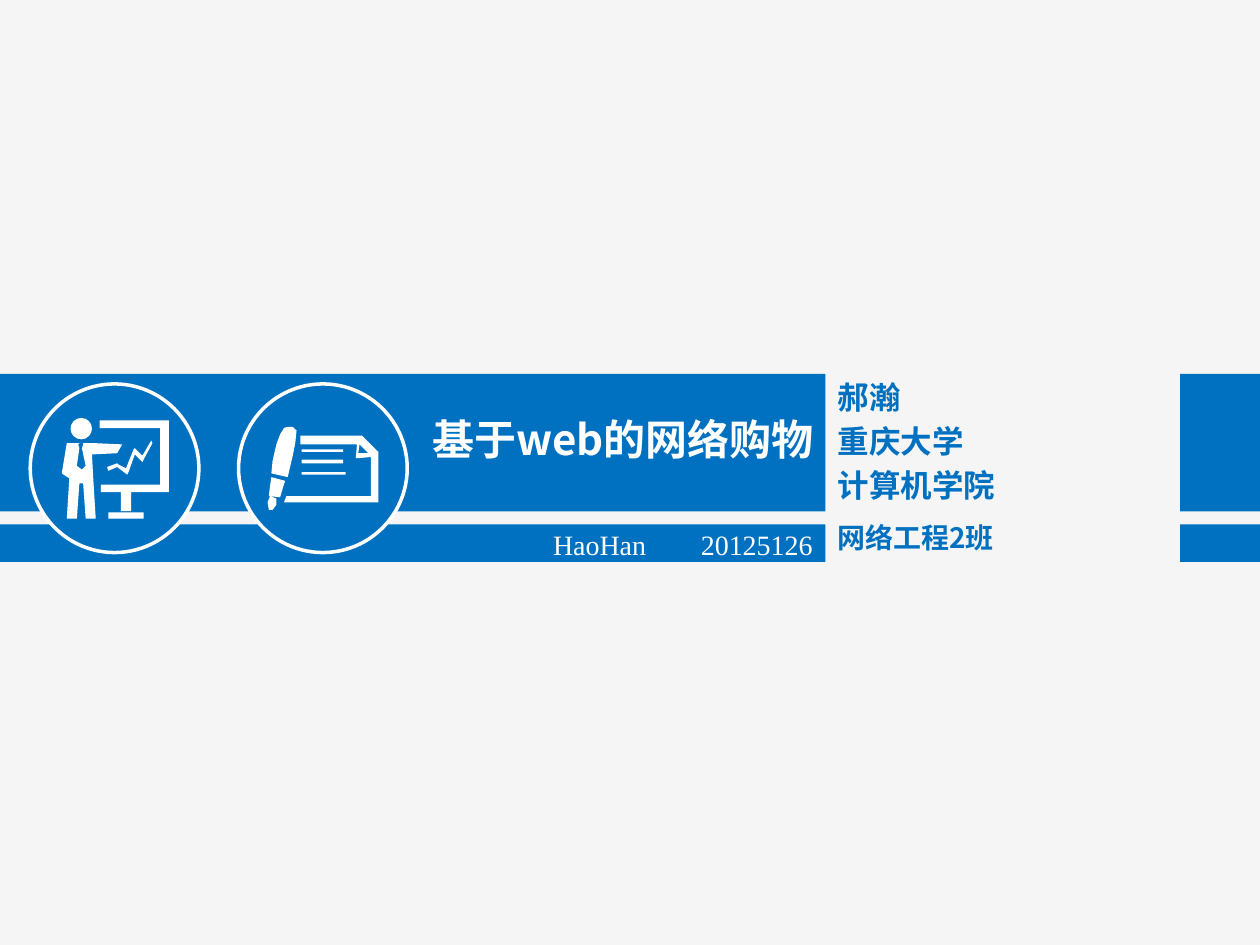
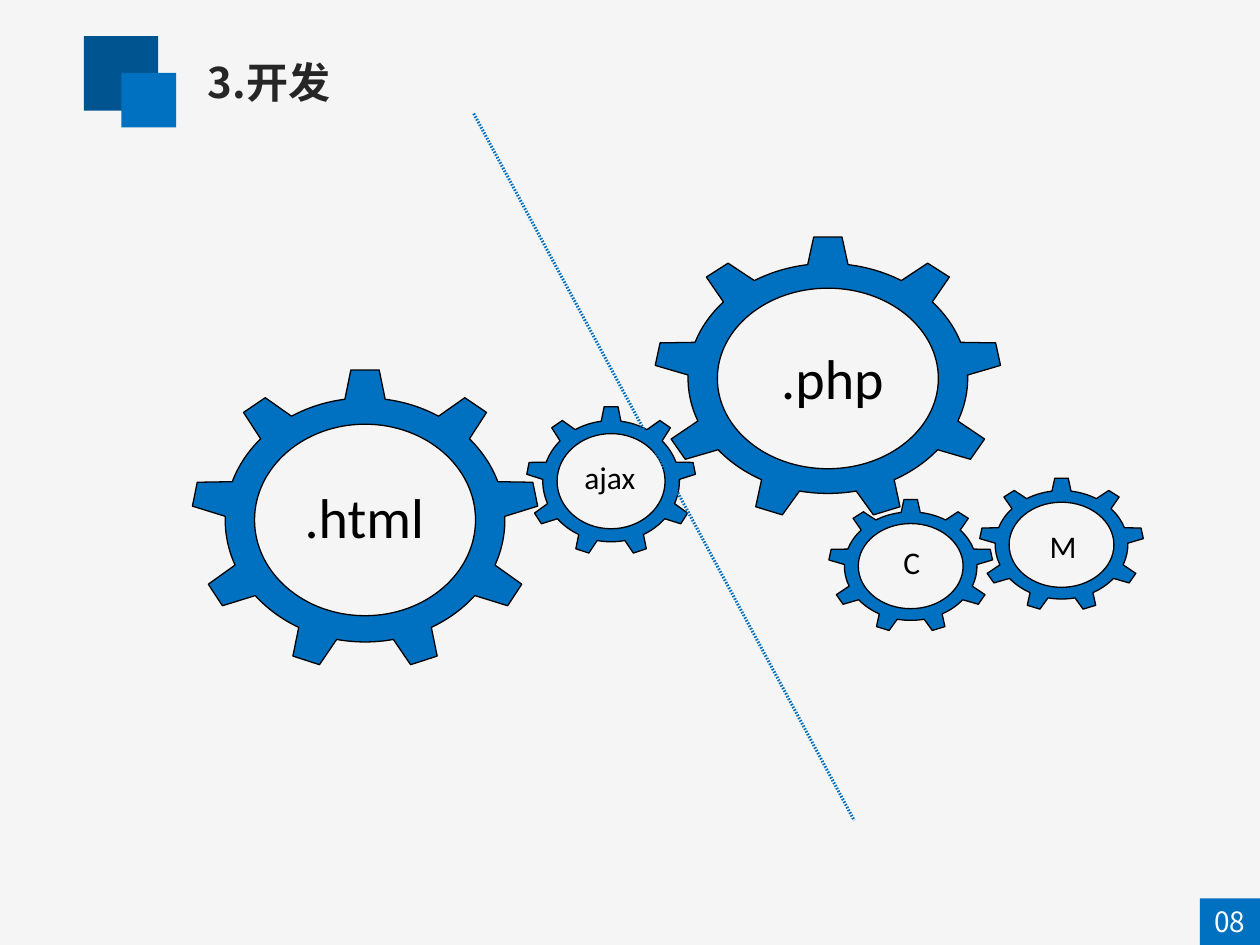
from dataclasses import dataclass
from math import cos, radians, sin, tan

from lxml import etree
from pptx import Presentation
from pptx.dml.color import RGBColor
from pptx.enum.shapes import MSO_CONNECTOR, MSO_SHAPE
from pptx.enum.text import PP_ALIGN
from pptx.oxml.ns import qn
from pptx.shapes.autoshape import Shape
from pptx.slide import Slide
from pptx.util import Cm, Pt

BLUE = RGBColor(0x00, 0x70, 0xC0)
DARK_BLUE = RGBColor(0x00, 0x54, 0x90)
PAPER = RGBColor(0xF5, 0xF5, 0xF5)
WHITE = RGBColor(0xFF, 0xFF, 0xFF)
BLACK = RGBColor(0x00, 0x00, 0x00)
CHARCOAL = RGBColor(0x26, 0x26, 0x26)

CJK_FONT = "Noto Sans CJK SC"
SERIF_FONT = "Times New Roman"
LABEL_FONT = "Calibri"

RECTANGLE = MSO_SHAPE.RECTANGLE
OVAL = MSO_SHAPE.OVAL
STRAIGHT = MSO_CONNECTOR.STRAIGHT
LEFT, CENTER, RIGHT = PP_ALIGN.LEFT, PP_ALIGN.CENTER, PP_ALIGN.RIGHT

Point = tuple[float, float]
Segment = tuple[Point, ...]  # one point for a line, three for a Bézier curve
Contour = list[Segment]

SLIDE_WIDTH, SLIDE_HEIGHT = 25.4, 19.05
BLANK_LAYOUT = 6


@dataclass(frozen=True)
class Box:
    """A frame in centimetres."""
    left: float
    top: float
    width: float
    height: float


@dataclass(frozen=True)
class TextStyle:
    size: float
    color: RGBColor
    font: str = CJK_FONT
    bold: bool = False
    align: PP_ALIGN = LEFT
    line_spacing: float = 1.0
    wrap: bool = True
    inset: float = 0.25
    tab_stop: float | None = None


@dataclass(frozen=True)
class Gear:
    box: Box
    label: str
    label_box: Box
    label_style: TextStyle


SLIDE_TITLE = TextStyle(24, CHARCOAL, bold=True)
PAGE_NUMBER = TextStyle(16, WHITE, align=CENTER)
COVER_TITLE = TextStyle(24, WHITE, bold=True, align=RIGHT, line_spacing=1.25)
COVER_SUBTITLE = TextStyle(16, WHITE, SERIF_FONT, line_spacing=1.25, inset=2.13, tab_stop=2.98)
AUTHOR = TextStyle(18, BLUE, bold=True)
CLASS_NAME = TextStyle(16, BLUE, bold=True)
LARGE_LABEL = TextStyle(32, BLACK, LABEL_FONT)
SMALL_LABEL = TextStyle(18, BLACK, LABEL_FONT, wrap=False)

# Cover: two bands on either side of the author column
AUTHOR_LEFT, AUTHOR_RIGHT = 16.64, 23.79
BANDS = [(7.54, 2.77), (10.57, 0.76)]
AUTHOR_LINES = [
    ("郝瀚", 7.49, AUTHOR),
    ("重庆大学", 8.38, AUTHOR),
    ("计算机学院", 9.27, AUTHOR),
    ("网络工程2班", 10.36, CLASS_NAME),
]
ICON_TOP, ICON_SIZE = 7.74, 3.4
PRESENTER_LEFT, WRITER_LEFT = 0.61, 4.81

# Icon outlines, in hundredths of an inch from the corner of the icon's circle
ICON_UNIT = 0.0254
HEAD_CENTER, HEAD_RADIUS = (40.5, 35.5), 8.5
PRESENTER_ICON: list[list[Point]] = [
    [(61, 66), (69, 63), (70, 64), (76, 67), (82, 52), (83, 51), (89, 57), (96, 45),
     (97, 47), (90, 60), (89, 62), (83, 56), (78, 70), (77, 72), (69, 66), (62, 69)],
    [(62, 102), (90, 102), (90, 107), (62, 107)],
    [(80, 86), (110, 86), (110, 29), (55, 29), (55, 35), (103, 35), (103, 80), (56, 80),
     (56, 86), (72, 86), (72, 101), (80, 101)],
    [(25, 71), (31, 75), (29, 107), (37, 107), (39, 79), (42, 79), (44, 107), (52, 107),
     (50, 75), (49, 56), (69, 55), (73, 48), (51, 47), (42, 47), (42, 48), (41, 51),
     (44, 65), (41, 68), (37, 65), (39, 51), (38, 48), (39, 47), (29, 47)],
]
WRITER_ICON: list[list[Point]] = [
    [(36, 35), (39, 34), (43, 34), (46, 37), (45, 47), (43, 57), (39, 74), (26, 71),
     (27, 61), (30, 48), (33, 40)],
    [(38, 89), (36, 94), (111, 94), (111, 54), (110, 53), (99, 42), (98, 41), (49, 41),
     (49, 48), (94, 48), (93, 59), (95, 59), (105, 58), (105, 89)],
    [(103, 55), (95, 55), (96, 48)],
    [(50, 70), (85, 70), (85, 72), (50, 72)],
    [(50, 60), (83, 60), (83, 63), (50, 63)],
    [(50, 52), (83, 52), (83, 54), (50, 54)],
    [(25, 89), (30, 91), (30, 96), (27, 100), (24, 100), (23, 94)],
    [(26, 74), (37, 77), (35, 83), (33, 90), (24, 89), (25, 81)],
]

# Gear proportions, in percent of its width and height
TOOTH_COUNT = 9
TOOTH_STEP = 360 / TOOTH_COUNT
TOOTH_HALF_ANGLE = 8.3
GEAR_CENTER = (50, 50.9)
BODY_RADII = (40.5, 41.4)
HOLE_RADII = (32, 32.5)
RIGHT_TIPS: list[Point] = [
    (4.1, -50.9), (28.9, -41.5), (35.2, -36.5), (48.6, -12.8), (50, -4.7),
    (45.4, 21.8), (41.3, 29.1), (20.9, 46.2), (13.2, 49.1),
]
GEARS = [
    Gear(Box(10.62, 8.2, 3.4, 2.95), "ajax", Box(11.53, 9.1, 1.56, 1.02), SMALL_LABEL),
    Gear(Box(3.88, 7.46, 6.96, 5.94), ".html", Box(5.89, 9.6, 4.24, 1.63), LARGE_LABEL),
    Gear(Box(13.21, 4.78, 6.96, 5.6), ".php", Box(15.5, 6.81, 2.69, 1.63), LARGE_LABEL),
    Gear(Box(16.71, 10.07, 3.3, 2.64), "C", Box(17.96, 10.82, 0.84, 1.02), SMALL_LABEL),
    Gear(Box(19.75, 9.64, 3.3, 2.64), "M", Box(20.91, 10.49, 1.04, 1.02), SMALL_LABEL),
]


def lengths(box: Box) -> tuple[Cm, Cm, Cm, Cm]:
    return Cm(box.left), Cm(box.top), Cm(box.width), Cm(box.height)


def paint(shape: Shape, fill: RGBColor, line: RGBColor | None, line_width: float) -> None:
    shape.shadow.inherit = False
    shape.fill.solid()
    shape.fill.fore_color.rgb = fill
    if line is None:
        shape.line.fill.background()
    else:
        shape.line.color.rgb = line
        shape.line.width = Pt(line_width)


def add_preset(slide: Slide, preset: MSO_SHAPE, box: Box, fill: RGBColor,
               line: RGBColor | None = None, line_width: float = 0) -> None:
    shape = slide.shapes.add_shape(preset, *lengths(box))
    paint(shape, fill, line, line_width)


def bend_curves(shape: Shape, contours: list[Contour]) -> None:
    """Turn the three lines drawn for each curved segment into one Bézier curve."""
    outline = next(shape._element.iter(qn("a:path")))
    nodes = iter(list(outline))
    for contour in contours:
        next(nodes)
        for segment in contour[1:]:
            first, *others = [next(nodes) for _ in segment]
            if others:
                first.tag = qn("a:cubicBezTo")
            for other in others:
                first.append(other[0])
                outline.remove(other)
        next(nodes)


def add_outline(slide: Slide, contours: list[Contour], origin: Point, scale: Point,
                fill: RGBColor, line: RGBColor | None = None, line_width: float = 0) -> None:
    """Draw closed contours as one freeform, origin and scale in centimetres."""
    builder = None
    for contour in contours:
        start, *rest = [(Cm(origin[0] + x * scale[0]), Cm(origin[1] + y * scale[1]))
                        for segment in contour for x, y in segment]
        if builder is None:
            builder = slide.shapes.build_freeform(*start)
        else:
            builder.move_to(*start)
        builder.add_line_segments(rest, close=True)
    shape = builder.convert_to_shape()
    bend_curves(shape, contours)
    paint(shape, fill, line, line_width)


def add_text(slide: Slide, text: str, box: Box, style: TextStyle) -> None:
    text_frame = slide.shapes.add_textbox(*lengths(box)).text_frame
    text_frame.word_wrap = style.wrap
    text_frame.margin_left = Cm(style.inset)
    text_frame.text = text
    paragraph = text_frame.paragraphs[0]
    paragraph.alignment = style.align
    paragraph.line_spacing = style.line_spacing
    if style.tab_stop is not None:
        tabs = etree.SubElement(paragraph._p.get_or_add_pPr(), qn("a:tabLst"))
        etree.SubElement(tabs, qn("a:tab"), pos=str(Cm(style.tab_stop)), algn="l")
    font = paragraph.runs[0].font
    font.size = Pt(style.size)
    font.bold = style.bold
    font.color.rgb = style.color
    font.name = style.font
    properties = paragraph.runs[0]._r.get_or_add_rPr()
    etree.SubElement(properties, qn("a:ea")).set("typeface", style.font)


def polygon(points: list[Point]) -> Contour:
    return [(point,) for point in points]


def ellipse_point(radii: Point, degrees: float) -> Point:
    """Point at a clockwise angle from the top of an ellipse around the origin."""
    angle = radians(degrees)
    return radii[0] * sin(angle), -radii[1] * cos(angle)


def arc(radii: Point, start: float, end: float, center: Point = (0, 0)) -> Segment:
    """Bézier curve along an ellipse from one angle to another."""
    reach = 4 / 3 * tan(radians(end - start) / 4)

    def control(degrees: float, distance: float) -> Point:
        x, y = ellipse_point(radii, degrees)
        along_x, along_y = ellipse_point(radii, degrees + 90)
        return center[0] + x + distance * along_x, center[1] + y + distance * along_y

    return control(start, reach), control(end, -reach), control(end, 0)


def ellipse(radii: Point, center: Point = (0, 0)) -> Contour:
    quarters = [arc(radii, -turn, -turn - 90, center) for turn in range(0, 360, 90)]
    return [(quarters[-1][-1],), *quarters]


def gear_contours() -> list[Contour]:
    """Toothed rim and hole around the origin, in percent of the gear's size."""
    tips = RIGHT_TIPS + [(-x, y) for x, y in reversed(RIGHT_TIPS)]
    rim: Contour = []
    for tooth in range(TOOTH_COUNT):
        arc_start = tooth * TOOTH_STEP + TOOTH_HALF_ANGLE
        arc_end = (tooth + 1) * TOOTH_STEP - TOOTH_HALF_ANGLE
        rim += polygon([tips[2 * tooth - 1], tips[2 * tooth],
                        ellipse_point(BODY_RADII, arc_start)])
        rim.append(arc(BODY_RADII, arc_start, arc_end))
    return [rim, ellipse(HOLE_RADII)]


def add_gear(slide: Slide, gear: Gear) -> None:
    box = gear.box
    scale = (box.width / 100, box.height / 100)
    center = (box.left + GEAR_CENTER[0] * scale[0], box.top + GEAR_CENTER[1] * scale[1])
    add_outline(slide, gear_contours(), center, scale, BLUE, BLACK, 0.75)


def add_icon(slide: Slide, left: float, contours: list[Contour]) -> None:
    """Draw a white pictogram in a ringed blue circle."""
    add_preset(slide, OVAL, Box(left, ICON_TOP, ICON_SIZE, ICON_SIZE), BLUE, WHITE, 2)
    add_outline(slide, contours, (left, ICON_TOP), (ICON_UNIT, ICON_UNIT), WHITE)


def add_slide_frame(slide: Slide, title: str, page: str) -> None:
    """Draw the title with its two squares, and the page number."""
    add_preset(slide, RECTANGLE, Box(1.69, 0.73, 1.5, 1.5), DARK_BLUE)
    add_preset(slide, RECTANGLE, Box(2.45, 1.47, 1.1, 1.1), BLUE)
    add_text(slide, title, Box(3.94, 1.02, 19.76, 1.27), SLIDE_TITLE)
    add_preset(slide, RECTANGLE, Box(24.19, 18.11, 1.21, 0.94), BLUE)
    add_text(slide, page, Box(23.9, 18.11, 1.78, 0.94), PAGE_NUMBER)


def add_dotted_line(slide: Slide, start: Point, end: Point) -> None:
    connector = slide.shapes.add_connector(
        STRAIGHT, Cm(start[0]), Cm(start[1]), Cm(end[0]), Cm(end[1]))
    connector.line.color.rgb = BLUE
    connector.line.width = Pt(1.75)
    dashes = etree.SubElement(connector.line._get_or_add_ln(), qn("a:custDash"))
    etree.SubElement(dashes, qn("a:ds"), d="50000", sp="50000")
    etree.SubElement(connector._element.spPr, qn("a:effectLst"))


def build_cover(slide: Slide) -> None:
    for text, top, style in AUTHOR_LINES:
        add_text(slide, text, Box(AUTHOR_LEFT, top, 7.14, 1.02), style)
    for top, height in BANDS:
        add_preset(slide, RECTANGLE, Box(0, top, AUTHOR_LEFT, height), BLUE)
        add_preset(slide, RECTANGLE,
                   Box(AUTHOR_RIGHT, top, SLIDE_WIDTH - AUTHOR_RIGHT, height), BLUE)
    add_text(slide, "基于web的网络购物", Box(7.49, 7.95, 9.16, 1.52), COVER_TITLE)
    add_text(slide, "HaoHan\t20125126", Box(9.02, 10.34, 7.62, 1.12), COVER_SUBTITLE)

    head = ellipse((HEAD_RADIUS, HEAD_RADIUS), HEAD_CENTER)
    add_icon(slide, PRESENTER_LEFT, [head, *map(polygon, PRESENTER_ICON)])
    add_icon(slide, WRITER_LEFT, [*map(polygon, WRITER_ICON)])


def build_development(slide: Slide) -> None:
    add_slide_frame(slide, "3.开发", "08")
    for gear in GEARS:
        add_gear(slide, gear)
        add_text(slide, gear.label, gear.label_box, gear.label_style)
    add_dotted_line(slide, (9.55, 2.29), (17.22, 16.54))


def main() -> None:
    presentation = Presentation()
    presentation.slide_width = Cm(SLIDE_WIDTH)
    presentation.slide_height = Cm(SLIDE_HEIGHT)
    background = presentation.slide_master.background.fill
    background.solid()
    background.fore_color.rgb = PAPER
    for build in (build_cover, build_development):
        build(presentation.slides.add_slide(presentation.slide_layouts[BLANK_LAYOUT]))
    presentation.save("out.pptx")


if __name__ == "__main__":
    main()
